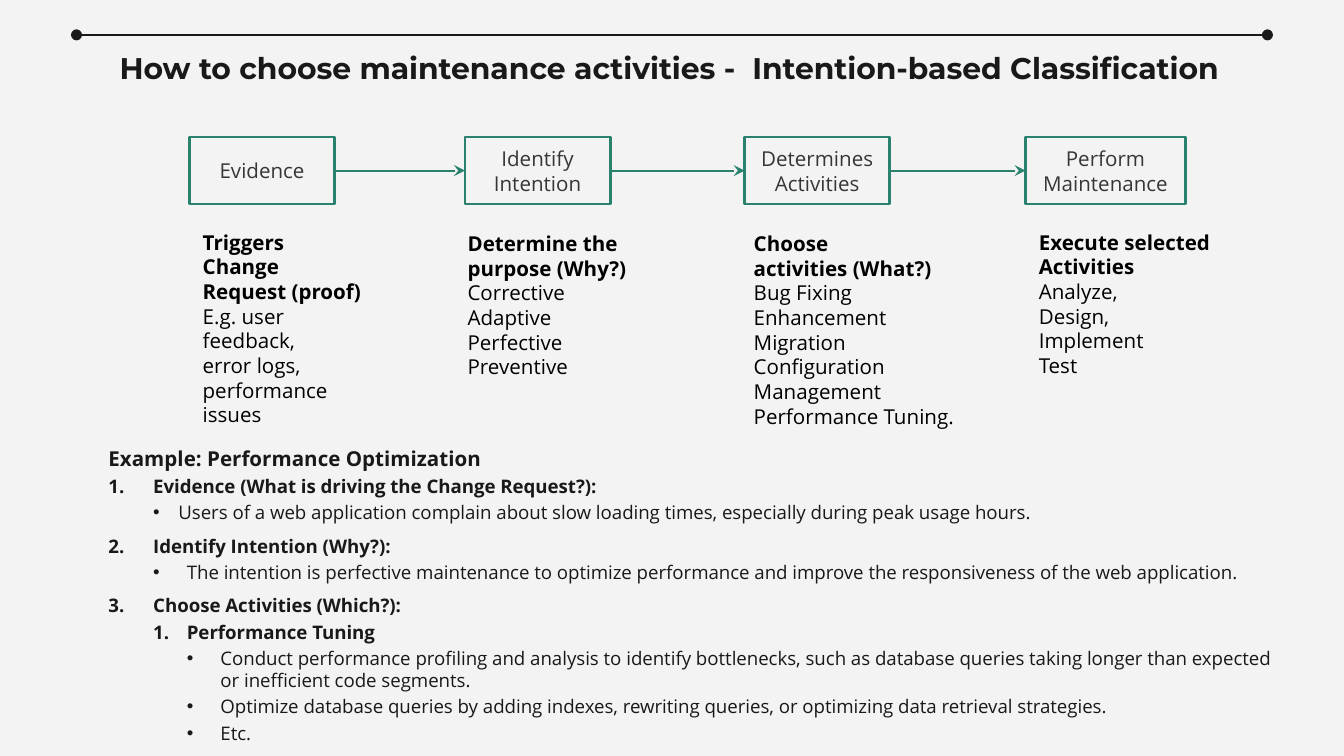
"""Build the slide on choosing maintenance activities by intention."""
from lxml import etree
from pptx import Presentation
from pptx.dml.color import RGBColor
from pptx.enum.shapes import MSO_CONNECTOR, MSO_SHAPE
from pptx.enum.text import MSO_ANCHOR, MSO_AUTO_SIZE, PP_ALIGN
from pptx.oxml.ns import qn
from pptx.util import Pt

STRAIGHT, RECTANGLE = MSO_CONNECTOR.STRAIGHT, MSO_SHAPE.RECTANGLE
TOP, MIDDLE = MSO_ANCHOR.TOP, MSO_ANCHOR.MIDDLE
LEFT, CENTER = PP_ALIGN.LEFT, PP_ALIGN.CENTER
FIXED, GROW = MSO_AUTO_SIZE.NONE, MSO_AUTO_SIZE.SHAPE_TO_FIT_TEXT
COLORS = {"page": "F3F3F3", "ink": "191919", "green": "29816E",
          "label": "363636", "black": "000000"}


def write(frame, text, first=False, size=11, color="ink", bold=False,
          font="Open Sans", align=LEFT, level=0, margin=0, indent=0,
          after=0, bullet=None):
    para = frame.paragraphs[0] if first else frame.add_paragraph()
    para.alignment, para.level = align, level
    para.space_before, para.space_after = Pt(0), Pt(after)
    props = para._p.get_or_add_pPr()
    props.set("marL", str(Pt(margin)))
    props.set("indent", str(Pt(indent)))
    if bullet:
        tint = etree.SubElement(props, qn("a:buClr"))
        etree.SubElement(tint, qn("a:srgbClr"), val=COLORS[color])
    if bullet == "number":
        etree.SubElement(props, qn("a:buFont"), typeface="+mj-lt")
        etree.SubElement(props, qn("a:buAutoNum"), type="arabicPeriod")
    elif bullet:
        etree.SubElement(props, qn("a:buFont"), typeface="Arial")
        etree.SubElement(props, qn("a:buChar"), char=bullet)
    else:
        etree.SubElement(props, qn("a:buNone"))
    span = para.add_run()
    span.text = text
    span.font.name, span.font.size, span.font.bold = font, Pt(size), bold
    span.font.color.rgb = RGBColor.from_string(COLORS[color])


def draw_line(start, end, color, width, **ends):
    line = page.shapes.add_connector(STRAIGHT, *map(Pt, start + end))
    line.line.color.rgb = RGBColor.from_string(COLORS[color])
    line.line.width = Pt(width)
    for tag, kind in ends.items():
        etree.SubElement(line.line._get_or_add_ln(), qn(f"a:{tag}"), type=kind)
    etree.SubElement(line._element.spPr, qn("a:effectLst"))
    return line


deck = Presentation()
deck.slide_width, deck.slide_height = Pt(720), Pt(405)
page = deck.slides.add_slide(deck.slide_layouts[1])
page.background.fill.solid()
page.background.fill.fore_color.rgb = RGBColor.from_string(COLORS["page"])
draw_line((41, 18.7), (679, 18.7), "ink", 0.75, headEnd="oval", tailEnd="oval")

title, body = page.placeholders
for holder, area in ((title, (56.9, 19.4, 655.2, 45.4)),
                     (body, (38.9, 231.8, 655.2, 173.2))):
    holder.left, holder.top, holder.width, holder.height = map(Pt, area)
    frame = holder.text_frame
    frame.margin_left = frame.margin_right = Pt(7.2)
    frame.margin_top = frame.margin_bottom = Pt(7.2)
    frame.vertical_anchor, frame.auto_size, frame.word_wrap = TOP, FIXED, True

write(title.text_frame,
      "How to choose maintenance activities -  Intention-based Classification",
      first=True, size=16, bold=True, font="Montserrat")

HEADING = dict(bold=True, margin=36, indent=-24, after=2, bullet="number")
DETAIL = dict(level=1, margin=54, indent=-18, after=6, bullet="•")
STEP = dict(HEADING, level=1, margin=54, indent=-18)
POINT = dict(DETAIL, level=2, margin=72, after=2)
write(body.text_frame, "Example: Performance Optimization", first=True,
      bold=True, margin=12, after=2)
for text, style in (
        ("Evidence (What is driving the Change Request?):", HEADING),
        ("Users of a web application complain about slow loading times, "
         "especially during peak usage hours.",
         dict(DETAIL, margin=49.5, indent=-13.5)),
        ("Identify Intention (Why?):", HEADING),
        ("The intention is perfective maintenance to optimize performance and "
         "improve the responsiveness of the web application.", DETAIL),
        ("Choose Activities (Which?):", HEADING),
        ("Performance Tuning", STEP),
        ("Conduct performance profiling and analysis to identify bottlenecks, "
         "such as database queries taking longer than expected or inefficient "
         "code segments.", POINT),
        ("Optimize database queries by adding indexes, rewriting queries, or "
         "optimizing data retrieval strategies.", POINT),
        ("Etc.", POINT)):
    write(body.text_frame, text, size=10, **style)

stages = (
    ("Evidence", 101.5, 77.8, (101.5, 119.5, 103, 113.8),
     ("Triggers", "Change", "Request (proof)"),
     ("E.g. user feedback,", "error logs,", "performance issues")),
    ("Identify Intention", 249.1, 77.8, (243.4, 120.2, 103, 87.1),
     ("Determine the purpose (Why?)",),
     ("Corrective", "Adaptive", "Perfective Preventive")),
    ("Determines Activities", 398.9, 77.8, (396.7, 120.2, 125.3, 113.8),
     ("Choose", "activities (What?)"),
     ("Bug Fixing", "Enhancement", "Migration Configuration Management",
      "Performance Tuning.")),
    ("Perform Maintenance", 549.4, 85.7, (549.4, 119.5, 111.6, 100.8),
     ("Execute selected", "Activities"),
     ("Analyze,", "Design,", "Implement", "Test")),
)
previous = None
for name, left, width, area, heads, items in stages:
    box = page.shapes.add_shape(RECTANGLE, Pt(left), Pt(73.4), Pt(width), Pt(36))
    box.shadow.inherit = False
    box.fill.background()
    box.line.color.rgb = RGBColor.from_string(COLORS["green"])
    box.line.width = Pt(1.5)
    box.text_frame.word_wrap = True
    box.text_frame.vertical_anchor = MIDDLE
    write(box.text_frame, name, first=True, color="label", align=CENTER)

    if previous:
        arrow = draw_line((0, 0), (0, 0), "green", 1, tailEnd="stealth")
        arrow.begin_connect(previous, 3)
        arrow.end_connect(box, 1)
    previous = box

    note = page.shapes.add_textbox(*map(Pt, area))
    note.text_frame.word_wrap = True
    note.text_frame.auto_size = GROW
    for index, text in enumerate(heads + items):
        write(note.text_frame, text, first=index == 0, color="black",
              bold=index < len(heads))

deck.save("out.pptx")
